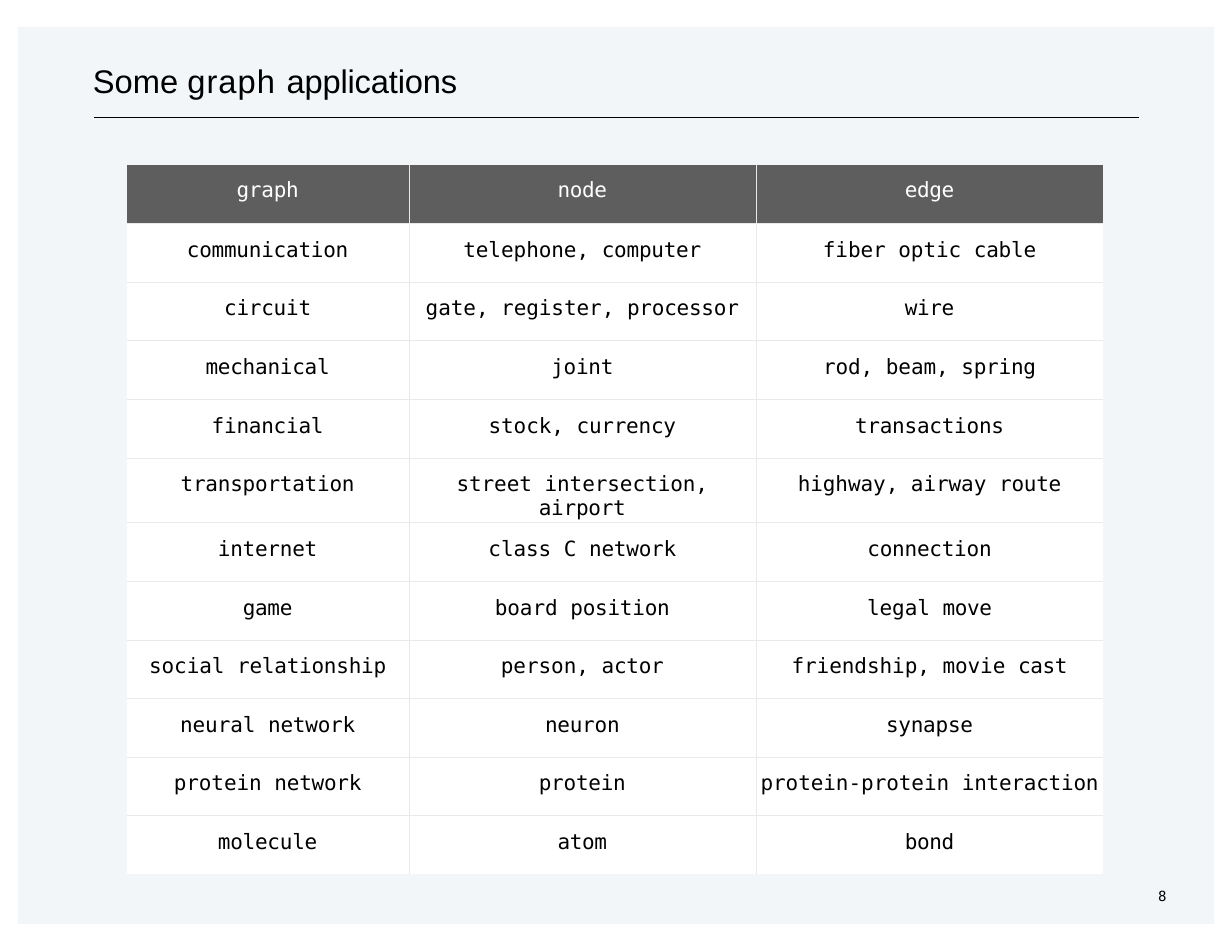
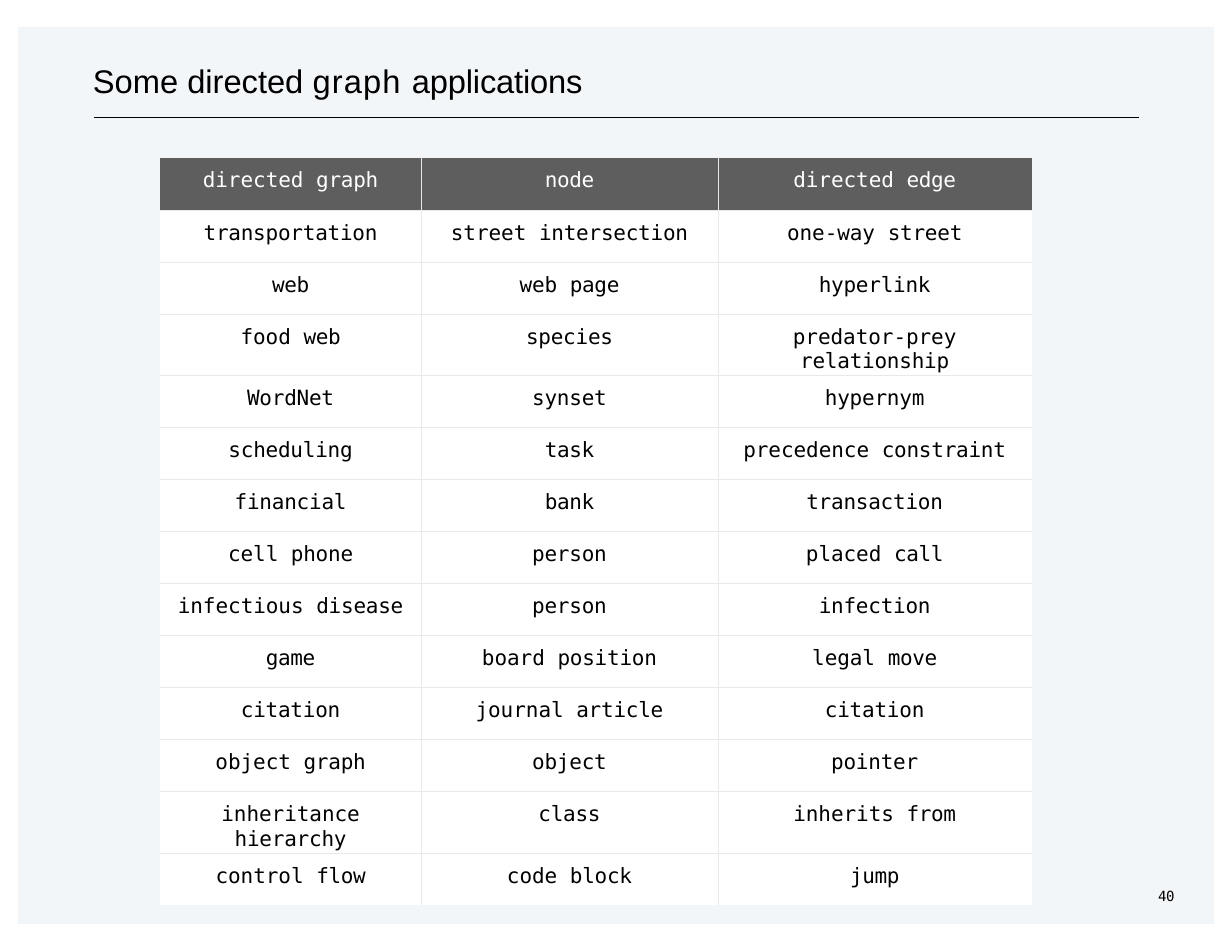
from pptx import Presentation
from pptx.dml.color import RGBColor as Rgb
from pptx.enum.shapes import MSO_CONNECTOR as Link, MSO_SHAPE as Form
from pptx.enum.text import PP_ALIGN as Align
from pptx.oxml.xmlchemy import OxmlElement as Node
from pptx.util import Inches, Pt

WIDE, HIGH = 11, 8.5
SANS, MONO = "Arial", "DejaVu Sans Mono"
HUES = {"band": "005493", "head": "5E5E5E", "cell": "FFFFFF", "grid": "E7EAEB", "ink": "000000"}

PAGES = [
    {
        "title": ["Some ", "graph ", "applications"],
        "page": "8",
        "at": (1.13, 1.47), "cols": (2.52, 3.1, 3.1), "high": 6.28, "pad": 0.12,
        "rows": [
            ("graph", "node", "edge"),
            ("communication", "telephone, computer", "fiber optic cable"),
            ("circuit", "gate, register, processor", "wire"),
            ("mechanical", "joint", "rod, beam, spring"),
            ("financial", "stock, currency", "transactions"),
            ("transportation", "street intersection, airport", "highway, airway route"),
            ("internet", "class C network", "connection"),
            ("game", "board position", "legal move"),
            ("social relationship", "person, actor", "friendship, movie cast"),
            ("neural network", "neuron", "synapse"),
            ("protein network", "protein", "protein-protein interaction"),
            ("molecule", "atom", "bond"),
        ],
    },
    {
        "title": ["Some directed ", "graph ", "applications"],
        "page": "40",
        "at": (1.43, 1.41), "cols": (2.33, 2.65, 2.8), "high": 6.5, "pad": 0.09,
        "rows": [
            ("directed graph", "node", "directed edge"),
            ("transportation", "street intersection", "one-way street"),
            ("web", "web page", "hyperlink"),
            ("food web", "species", "predator-prey relationship"),
            ("WordNet", "synset", "hypernym"),
            ("scheduling", "task", "precedence constraint"),
            ("financial", "bank", "transaction"),
            ("cell phone", "person", "placed call"),
            ("infectious disease", "person", "infection"),
            ("game", "board position", "legal move"),
            ("citation", "journal article", "citation"),
            ("object graph", "object", "pointer"),
            ("inheritance hierarchy", "class", "inherits from"),
            ("control flow", "code block", "jump"),
        ],
    },
]


def hue(name):
    return Rgb.from_string(HUES[name])


def write(para, parts, face, size, ink="ink"):
    for text, gap in parts:
        run = para.add_run()
        run.text = text
        run.font.name, run.font.size = face, Pt(size)
        run.font.color.rgb = hue(ink)
        run._r.get_or_add_rPr().set("spc", str(gap))


def label(slide, box, parts, face, size):
    frame = slide.shapes.add_textbox(*map(Inches, box)).text_frame
    frame.word_wrap = True
    frame.margin_left = frame.margin_top = frame.margin_right = frame.margin_bottom = 0
    write(frame.paragraphs[0], parts, face, size)


def base(slide):
    x, y = 0.16, 0.24
    band = slide.shapes.add_shape(
        Form.RECTANGLE, *map(Inches, (x, y, WIDE - 2 * x, HIGH - 2 * y - 0.01)))
    band.shadow.inherit = False
    band.line.fill.background()
    band.fill.solid()
    band.fill.fore_color.rgb = hue("band")
    alpha = Node("a:alpha")
    alpha.set("val", "5000")
    band.fill._xPr.find(".//" + "{*}srgbClr").append(alpha)
    rule = slide.shapes.add_connector(Link.STRAIGHT, *map(Inches, (0.84, 1.05, 10.17, 1.05)))
    rule.line.color.rgb = hue("ink")
    rule.line.width = Pt(0.75)
    rule._element.spPr.append(Node("a:effectLst"))


def edge(cell, side, shown):
    line = Node("a:ln" + side)
    line.set("w", str(Pt(0.25)))
    fill = Node("a:solidFill" if shown else "a:noFill")
    if shown:
        tone = Node("a:srgbClr")
        tone.set("val", HUES["grid"])
        fill.append(tone)
    line.append(fill)
    cell._tc.get_or_add_tcPr().append(line)


def spaced(text):
    lead, gap, last = text.rpartition(" ")
    tail = (last, -20 if len(last) < 5 else -10)
    return [(lead + gap, 0), tail] if lead else [tail]


def grid(slide, data):
    rows, cols = data["rows"], data["cols"]
    box = (*data["at"], sum(cols), data["high"])
    table = slide.shapes.add_table(len(rows), len(cols), *map(Inches, box)).table
    table.first_row = table.horz_banding = False
    for col, wide in zip(table.columns, cols):
        col.width = Inches(wide)
    for r, row in enumerate(rows):
        table.rows[r].height = Inches(data["high"] / len(rows))
        for c, text in enumerate(row):
            cell = table.cell(r, c)
            cell.margin_left = cell.margin_right = cell.margin_bottom = 0
            cell.margin_top = Inches(data["pad"] + (0.01 if r else 0))
            inner = {"L": c > 0, "R": c < len(cols) - 1, "T": r > 0, "B": r < len(rows) - 1}
            for side, shown in inner.items():
                edge(cell, side, shown)
            cell.fill.solid()
            cell.fill.fore_color.rgb = hue("cell" if r else "head")
            para = cell.text_frame.paragraphs[0]
            para.alignment = Align.CENTER
            write(para, spaced(text), MONO, 13.5, "ink" if r else "cell")


def main():
    deck = Presentation()
    deck.slide_width, deck.slide_height = Inches(WIDE), Inches(HIGH)
    for data in PAGES:
        slide = deck.slides.add_slide(deck.slide_layouts[6])
        base(slide)
        label(slide, (0.83, 0.54, 5.8, 0.36), zip(data["title"], (0, 70, -10)), SANS, 21)
        label(slide, (10.34, 7.92, 0.22, 0.17), [(data["page"], -20)], MONO, 9)
        grid(slide, data)
    deck.save("out.pptx")


if __name__ == "__main__":
    main()
